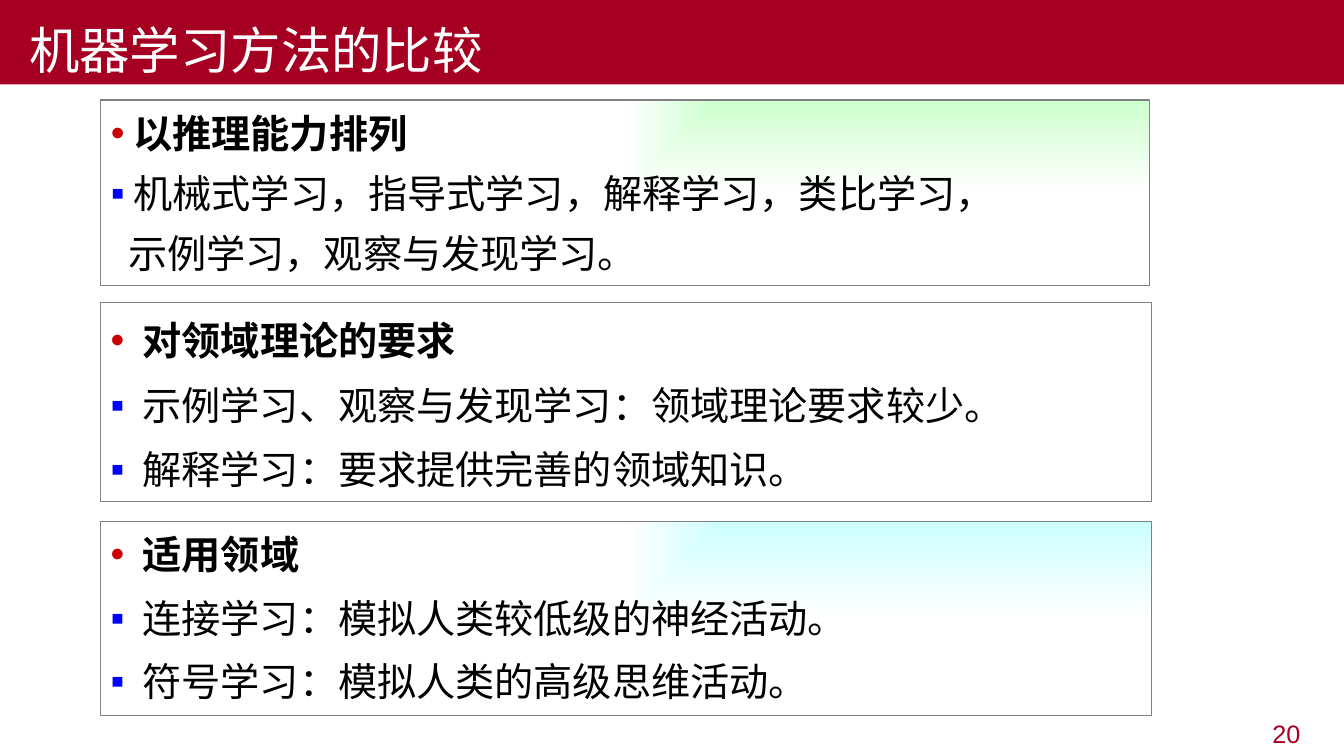
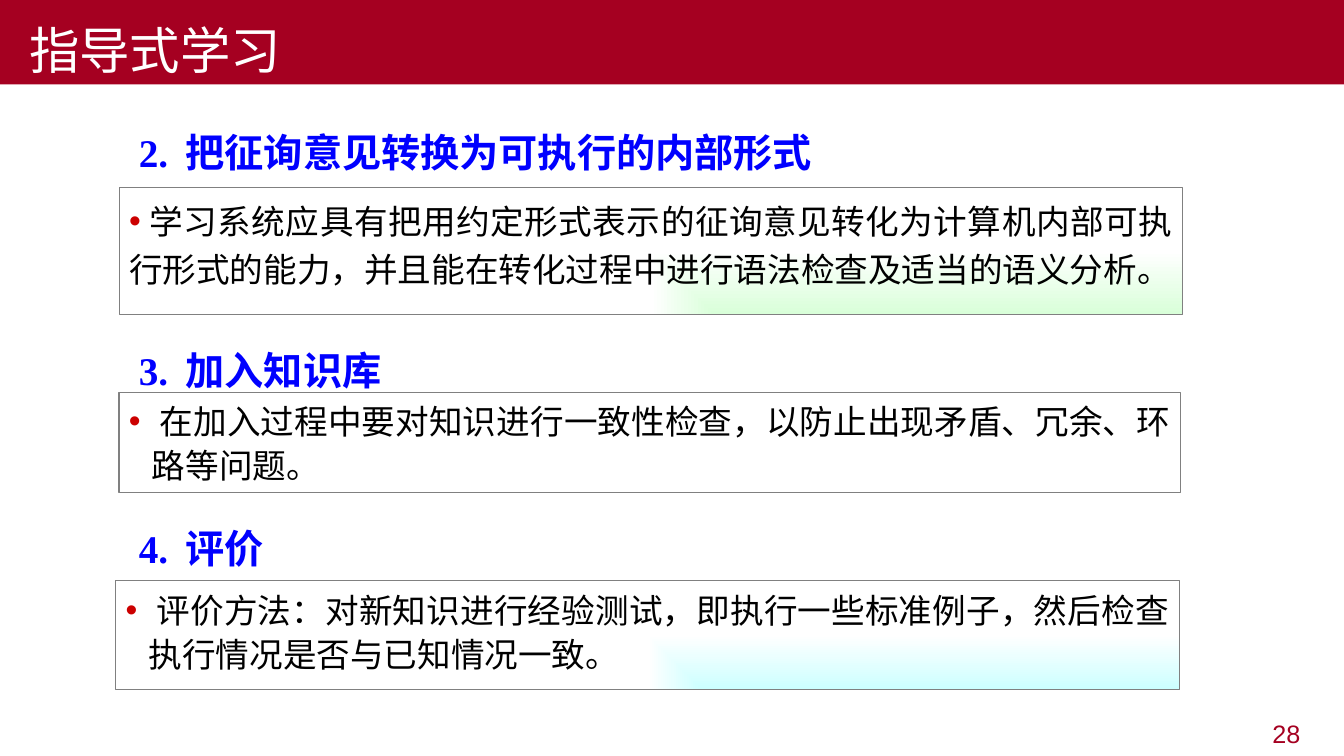
"""Build two slides on machine learning methods with framed text boxes."""
from lxml.etree import SubElement
from pptx import Presentation
from pptx.dml.color import RGBColor as RGB
from pptx.enum.shapes import MSO_SHAPE as SHAPE
from pptx.enum.text import MSO_ANCHOR as ANCHOR, MSO_AUTO_SIZE as AUTO, PP_ALIGN as ALIGN
from pptx.oxml.ns import qn
from pptx.util import Cm, Pt

COLORS = {
    "band": "A50021", "white": "FFFFFF", "black": "000000", "frame": "808080",
    "dot": "CC0000", "blue": "0000FF",
    "green": "CCFFCC", "pale_green": "D9FFD9", "cyan": "CCFFFF",
}
BULLETS = {"dot": "•", "blue": "▪"}
CJK, SERIF, SANS = "Noto Sans CJK SC", "Times New Roman", "Arial"
HANG = 0.58

SLIDES = [
    {
        "title": "机器学习方法的比较", "number": "20", "size": 28, "font": CJK,
        "align": ALIGN.LEFT, "focus": {"l": "100000", "b": "100000"},
        "boxes": [
            ((2.54, 2.52, 26.42, 4.67), "green", 1.1, 5.6, 0, [
                ("dot", " 以推理能力排列", True),
                ("blue", " 机械式学习，指导式学习，解释学习，类比学习，", False),
                (None, "示例学习，观察与发现学习。", False)]),
            ((2.54, 7.62, 26.47, 5.03), "white", 1.2, 5.6, HANG, [
                ("dot", " 对领域理论的要求", True),
                ("blue", " 示例学习、观察与发现学习：领域理论要求较少。", False),
                ("blue", " 解释学习：要求提供完善的领域知识。", False)]),
            ((2.54, 13.13, 26.47, 4.9), "cyan", 1.1, 8.4, HANG, [
                ("dot", " 适用领域", True),
                ("blue", " 连接学习：模拟人类较低级的神经活动。", False),
                ("blue", " 符号学习：模拟人类的高级思维活动。", False)]),
        ],
        "headings": [],
    },
    {
        "title": "指导式学习", "number": "28", "size": 24, "font": SERIF,
        "align": ALIGN.JUSTIFY, "focus": {"l": "100000", "t": "100000"},
        "boxes": [
            ((3, 4.72, 26.8, 3.2), "pale_green", 1.2, 0, 0, [
                ("dot", " 学习系统应具有把用约定形式表示的征询意见转化为计算机内部可执行形式的能力，"
                        "并且能在转化过程中进行语法检查及适当的语义分析。", False)]),
            ((3, 9.88, 26.75, 2.54), "white", 1.1, 0, HANG, [
                ("dot", " 在加入过程中要对知识进行一致性检查，以防止出现矛盾、冗余、环路等问题。", False)]),
            ((2.92, 14.63, 26.8, 2.74), "cyan", 1.1, 0, HANG, [
                ("dot", " 评价方法：对新知识进行经验测试，即执行一些标准例子，"
                        "然后检查执行情况是否与已知情况一致。", False)]),
        ],
        "headings": [
            (3.1, "2.", "把征询意见转换为可执行的内部形式"),
            (8.59, "3.", "加入知识库"),
            (13.08, "4.", "评价"),
        ],
    },
]


def add_run(p, text, size, font, color, bold=False):
    r = p.add_run()
    r.text = text
    r.font.size, r.font.name, r.font.bold = Pt(size), font, bold
    r.font.color.rgb = RGB.from_string(COLORS[color])
    SubElement(r.font._element, qn("a:ea"), typeface=CJK)


def format_paragraph(p, bullet, margin, indent):
    pPr = p._p.get_or_add_pPr()
    pPr.set("marL", str(Cm(margin)))
    pPr.set("indent", str(Cm(indent)))
    if bullet:
        clr = SubElement(pPr, qn("a:buClr"))
        SubElement(clr, qn("a:srgbClr"), val=COLORS[bullet])
        SubElement(pPr, qn("a:buFont"), typeface=SANS)
        SubElement(pPr, qn("a:buChar"), char=BULLETS[bullet])
    else:
        SubElement(pPr, qn("a:buNone"))


prs = Presentation()
prs.slide_width, prs.slide_height = Cm(33.87), Cm(19.05)

for data in SLIDES:
    slide = prs.slides.add_slide(prs.slide_layouts[1])

    title = slide.shapes.title
    title.left, title.top, title.width, title.height = 0, 0, prs.slide_width, Cm(2.13)
    title.fill.solid()
    title.fill.fore_color.rgb = RGB.from_string(COLORS["band"])
    tf = title.text_frame
    tf.auto_size, tf.vertical_anchor = AUTO.NONE, ANCHOR.BOTTOM
    p = tf.paragraphs[0]
    format_paragraph(p, None, 0, 0.48)
    p.alignment = ALIGN.LEFT
    add_run(p, data["title"], 36, SERIF, "white")

    for i, (place, color, spacing, before, hang, lines) in enumerate(data["boxes"]):
        left, top, width, height = map(Cm, place)
        if i == 0:
            sp = slide.placeholders[1]
            sp.left, sp.top, sp.width, sp.height = left, top, width, height
        else:
            sp = slide.shapes.add_shape(SHAPE.RECTANGLE, left, top, width, height)
            sp.shadow.inherit = False
        if color == "white":
            sp.fill.solid()
            sp.fill.fore_color.rgb = RGB.from_string(COLORS[color])
        else:
            sp.fill.gradient()
            for stop, name in zip(sp.fill.gradient_stops, (color, "white")):
                stop.color.rgb = RGB.from_string(COLORS[name])
            grad = sp._element.spPr.find(qn("a:gradFill"))
            grad.remove(grad.find(qn("a:lin")))
            shade = SubElement(grad, qn("a:path"), path="rect")
            SubElement(shade, qn("a:fillToRect"), **data["focus"])
        sp.line.color.rgb = RGB.from_string(COLORS["frame"])
        sp.line.width = Pt(0.75)
        tf = sp.text_frame
        tf.word_wrap, tf.auto_size, tf.vertical_anchor = True, AUTO.NONE, ANCHOR.TOP
        for j, (bullet, text, bold) in enumerate(lines):
            p = tf.add_paragraph() if j else tf.paragraphs[0]
            format_paragraph(p, bullet, hang if bullet else 0.44, -hang)
            p.alignment, p.line_spacing = data["align"], spacing
            p.space_before = Pt(before if j else 0)
            add_run(p, text, data["size"], data["font"], "black", bold)

    for top, number, text in data["headings"]:
        sp = slide.shapes.add_textbox(Cm(3), Cm(top), Cm(18.2), Cm(1.45))
        sp.text_frame.word_wrap = True
        p = sp.text_frame.paragraphs[0]
        format_paragraph(p, None, 1.43, -1.18)
        add_run(p, number + "\t", 28, SERIF, "blue", True)
        add_run(p, text, 28, CJK, "blue", True)

    sp = slide.shapes.add_textbox(Cm(25.68), Cm(17.98), Cm(7.34), Cm(0.99))
    sp.text_frame.word_wrap = True
    p = sp.text_frame.paragraphs[0]
    p.alignment = ALIGN.RIGHT
    add_run(p, data["number"], 18, SANS, "band")

prs.save("out.pptx")
